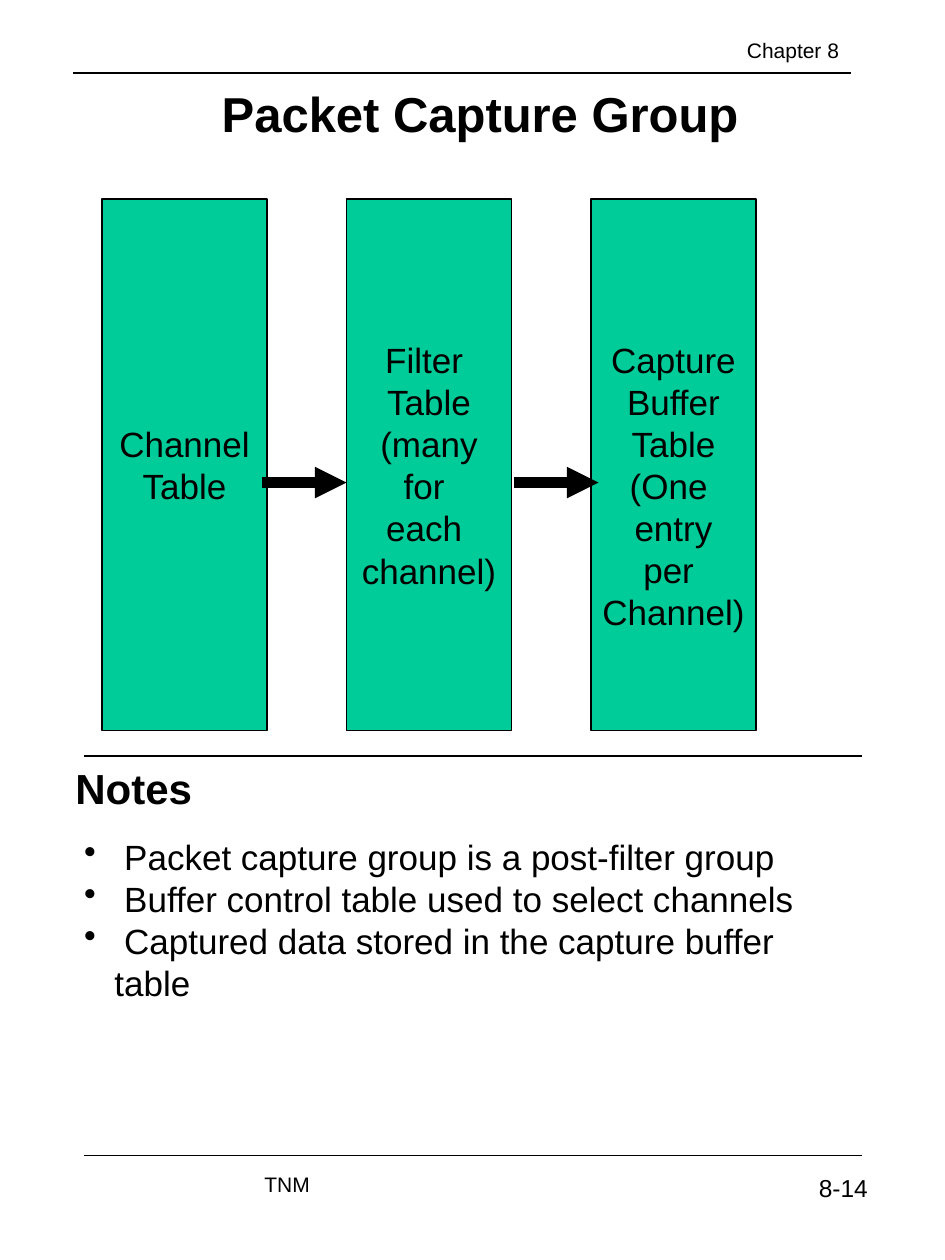
from pptx import Presentation
from pptx.dml.color import RGBColor
from pptx.enum.shapes import MSO_CONNECTOR, MSO_SHAPE
from pptx.enum.text import MSO_ANCHOR, PP_ALIGN
from pptx.oxml.xmlchemy import OxmlElement
from pptx.util import Inches, Pt

BLACK = RGBColor(0x00, 0x00, 0x00)
GREEN = RGBColor(0x00, 0xCC, 0x99)
FONT = "Arial"

# Content: lines of each table box, and its extra space above the text
TABLES = [
    (["Channel", "Table"], 0),
    (["Filter ", "Table", "(many", "for ", "each ", "channel)"], 0),
    (["Capture", "Buffer", "Table", "(One ", "entry", "per ", "Channel)"], 0.33),
]
NOTES = [
    " Packet capture group is a post-filter group",
    " Buffer control table used to select channels",
    " Captured data stored in the capture buffer table",
]
# text, (left, top, width, height), format
LABELS = [
    ("Chapter 8", (5.83, 0.25, 0.93, 0.3), dict(size=12)),
    ("Packet Capture Group", (1.66, 0.61, 4.3, 0.57),
     dict(size=28, bold=True, align=PP_ALIGN.CENTER)),
    ("Notes", (0.5, 6, 1.17, 0.5), dict(size=24, bold=True)),
    ("TNM", (2, 9.25, 0.56, 0.3), dict(size=12)),
    ("8-14", (6.4, 9.26, 0.59, 0.34), dict(size=14)),
]
RULES = [(0.58, 0.58), (0.67, 6), (0.67, 9.17)]  # left, top
RULE_WIDTH = 6.17

# Table boxes and the arrows between them
BOX_LEFT, BOX_TOP, BOX_WIDTH, BOX_HEIGHT, BOX_PITCH = 0.81, 1.58, 1.31, 4.22, 1.94
ARROW_LEFT, ARROW_TOP, ARROW_LENGTH, ARROW_PITCH = 2.08, 3.83, 0.67, 2


def add_bullet(paragraph, hang=0.24):
    properties = paragraph._p.get_or_add_pPr()
    properties.set("marL", str(Inches(hang)))
    properties.set("indent", str(-Inches(hang)))
    bullet = OxmlElement("a:buChar")
    bullet.set("char", "•")
    properties.append(bullet)


def write_text(frame, lines, size=20, bold=False, align=PP_ALIGN.LEFT,
               wrap=False, bullets=False):
    frame.word_wrap = wrap
    for index, line in enumerate(lines):
        paragraph = frame.paragraphs[0] if index == 0 else frame.add_paragraph()
        paragraph.alignment = align
        if bullets:
            add_bullet(paragraph)
        run = paragraph.add_run()
        run.text = line
        run.font.name = FONT
        run.font.size = Pt(size)
        run.font.bold = bold
        run.font.color.rgb = BLACK


def add_line(slide, left, top, length, weight, arrow=False):
    line = slide.shapes.add_connector(
        MSO_CONNECTOR.STRAIGHT, Inches(left), Inches(top),
        Inches(left + length), Inches(top))
    line.line.color.rgb = BLACK
    line.line.width = Pt(weight)
    if arrow:
        head = OxmlElement("a:tailEnd")
        head.set("type", "triangle")
        line.line._get_or_add_ln().append(head)
    line._element.spPr.append(OxmlElement("a:effectLst"))


def add_label(slide, lines, place, **text_format):
    box = slide.shapes.add_textbox(*map(Inches, place))
    write_text(box.text_frame, lines, **text_format)


def add_table_box(slide, lines, left, space_above):
    box = slide.shapes.add_shape(
        MSO_SHAPE.RECTANGLE, Inches(left), Inches(BOX_TOP),
        Inches(BOX_WIDTH), Inches(BOX_HEIGHT))
    box.shadow.inherit = False
    box.fill.solid()
    box.fill.fore_color.rgb = GREEN
    box.line.color.rgb = BLACK
    box.line.width = Pt(0.75)
    frame = box.text_frame
    frame.vertical_anchor = MSO_ANCHOR.MIDDLE
    frame.margin_top = Inches(0.05 + space_above)
    write_text(frame, lines, align=PP_ALIGN.CENTER)


def main():
    presentation = Presentation()
    presentation.slide_width = Inches(7.5)
    presentation.slide_height = Inches(10)
    slide = presentation.slides.add_slide(presentation.slide_layouts[6])

    # Horizontal rules
    for left, top in RULES:
        add_line(slide, left, top, RULE_WIDTH, 1)

    # Flow diagram
    for index, (lines, space_above) in enumerate(TABLES):
        add_table_box(slide, lines, BOX_LEFT + index * BOX_PITCH, space_above)
    for index in range(len(TABLES) - 1):
        add_line(slide, ARROW_LEFT + index * ARROW_PITCH, ARROW_TOP,
                 ARROW_LENGTH, 6, arrow=True)

    # Headings, header and footer, notes
    for text, place, text_format in LABELS:
        add_label(slide, [text], place, **text_format)
    add_label(slide, NOTES, (0.57, 6.58, 6.3, 1.43), wrap=True, bullets=True)

    presentation.save("out.pptx")


if __name__ == "__main__":
    main()
